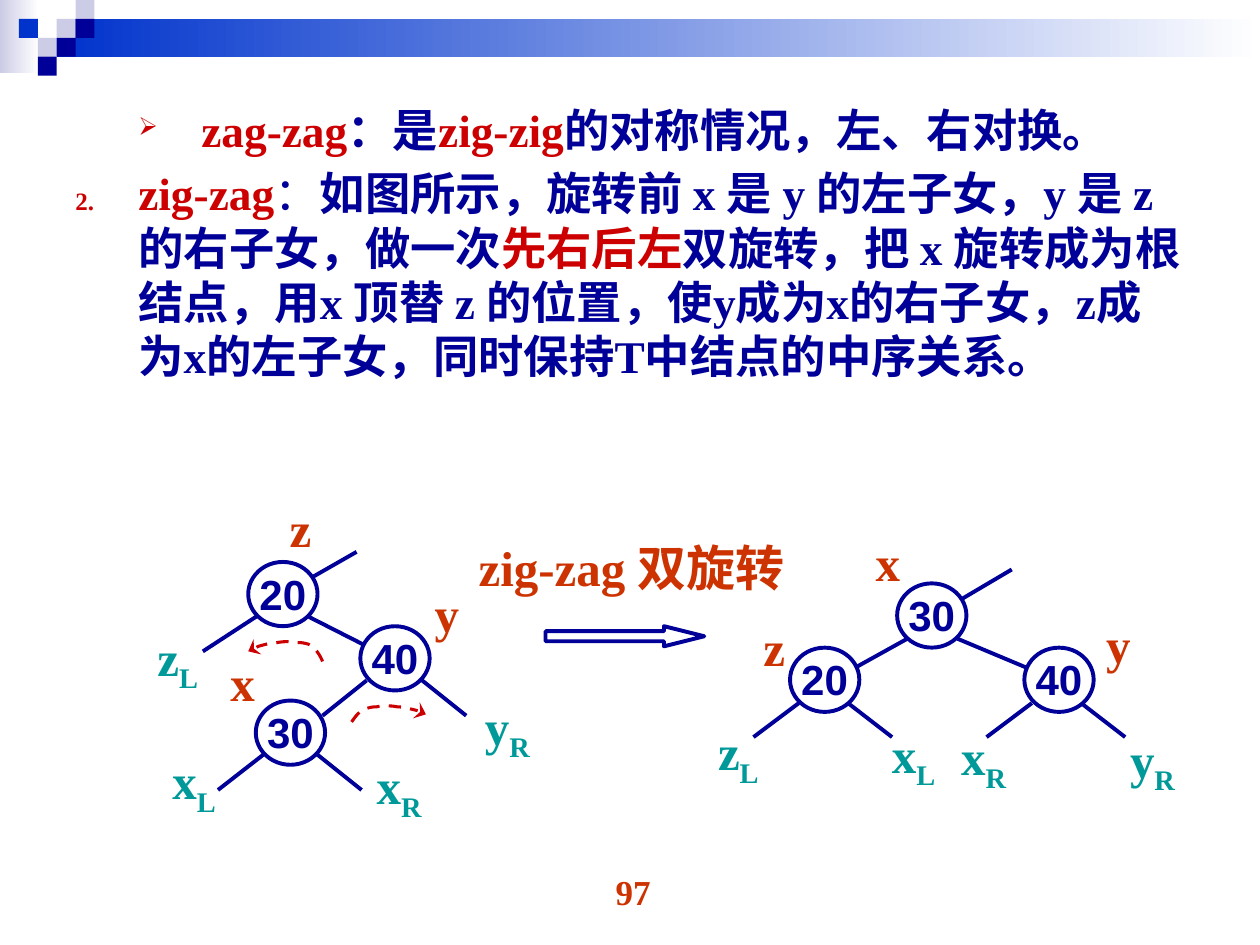
from lxml import etree
from pptx import Presentation, util as u
from pptx.dml.color import RGBColor
from pptx.enum import dml, shapes, text
from pptx.oxml.ns import qn

COLORS = {
    "navy": "000099", "blue": "0033CC", "lilac": "CCCCE6", "white": "FFFFFF",
    "red": "CC0000", "orange": "CC3300", "teal": "009999",
}
SERIF, SANS = "Times New Roman", "Arial"
SQUARE = 0.15
NODE_WIDTH, NODE_HEIGHT = 0.55, 0.51


def rgb(name):
    return RGBColor.from_string(COLORS[name])


def inches(*values):
    return [u.Inches(value) for value in values]


def bezier(points, steps=8):
    """Sample a chain of cubic curves given as start, then triples of points."""
    samples = []
    for first in range(0, len(points) - 1, 3):
        a, b, c, d = points[first:first + 4]
        for step in range(1, steps + 1):
            t = step / steps
            weights = ((1 - t) ** 3, 3 * t * (1 - t) ** 2, 3 * t * t * (1 - t), t ** 3)
            samples.append(tuple(
                sum(w * p[axis] for w, p in zip(weights, (a, b, c, d))) for axis in (0, 1)))
    return samples


class Painter:
    """Holds the drawing style and the slide being drawn on."""

    def __init__(self, slide):
        self.slide = slide
        self.line_width = u.Pt(2.25)

    def style_font(self, font, size, color, name=SERIF):
        font.size, font.name, font.bold = u.Pt(size), name, True
        font.color.rgb = rgb(color)

    def shape(self, kind, left, top, width, height, fill, outline=None):
        shape = self.slide.shapes.add_shape(kind, *inches(left, top, width, height))
        shape.shadow.inherit = False
        shape.fill.solid()
        shape.fill.fore_color.rgb = rgb(fill)
        if outline:
            shape.line.color.rgb = rgb(outline)
            shape.line.width = self.line_width
        else:
            shape.line.fill.background()
        return shape

    def fading_bar(self, left, top, width, height, color):
        bar = self.shape(shapes.MSO_SHAPE.RECTANGLE, left, top, width, height, color)
        bar.fill.gradient()
        bar.fill.gradient_angle = 0
        for stop, position, name in zip(bar.fill.gradient_stops, (0, 1), (color, "white")):
            stop.position = position
            stop.color.rgb = rgb(name)

    def text_box(self, left, top, width, height, wrap=False):
        box = self.slide.shapes.add_textbox(*inches(left, top, width, height))
        box.text_frame.word_wrap = wrap
        return box.text_frame

    def label(self, words, left, top, width, height=0.57, size=28, color="orange",
              name=SERIF, subscript="", centered=False):
        frame = self.text_box(left, top, width, height)
        paragraph = frame.paragraphs[0]
        self.style_font(paragraph.font, size, color, name)
        if centered:
            paragraph.alignment = text.PP_ALIGN.CENTER
        else:
            frame.margin_right = 0
        paragraph.add_run().text = words
        if subscript:
            run = paragraph.add_run()
            run.text = subscript
            run._r.get_or_add_rPr().set("baseline", "-25000")

    def subtree(self, words, left, top):
        self.label(words[0], left, top, 0.55, 0.63, color="teal", subscript=words[1])

    def node(self, number, left, top):
        self.shape(shapes.MSO_SHAPE.OVAL, left, top, NODE_WIDTH, NODE_HEIGHT, "white", "navy")
        self.label(number, left - 0.01, top, 0.57, 0.5, 24, "navy", SANS, centered=True)

    def edge(self, *ends):
        line = self.slide.shapes.add_connector(shapes.MSO_CONNECTOR.STRAIGHT, *inches(*ends))
        line.line.color.rgb = rgb("navy")
        line.line.width = self.line_width
        etree.SubElement(line._element.spPr, qn("a:effectLst"))

    def tree(self, edges, nodes, names, subtrees):
        for ends in edges:
            self.edge(*ends)
        for node in nodes:
            self.node(*node)
        for name, left, top in names:
            self.label(name, left, top, 0.38)
        for subtree in subtrees:
            self.subtree(*subtree)

    def curved_arrow(self, points):
        builder = self.slide.shapes.build_freeform(*inches(*points[0]), scale=1.0)
        builder.add_line_segments([inches(*point) for point in bezier(points)], close=False)
        curve = builder.convert_to_shape()
        curve.shadow.inherit = False
        curve.fill.background()
        curve.line.color.rgb = rgb("red")
        curve.line.width = u.Pt(1.75)
        curve.line.dash_style = dml.MSO_LINE.DASH
        etree.SubElement(curve.line._get_or_add_ln(), qn("a:tailEnd"),
                         type="stealth", w="lg", len="med")

    def list_item(self, paragraph, runs, margin, bullet, **bullet_attributes):
        """Fill a bulleted paragraph from (words, color) runs."""
        paragraph.line_spacing = 1.0
        paragraph.space_before = u.Pt(5.2)
        properties = paragraph._p.get_or_add_pPr()
        properties.set("marL", str(u.Inches(margin)))
        properties.set("indent", str(u.Inches(-0.5)))
        color = etree.SubElement(properties, qn("a:buClr"))
        etree.SubElement(color, qn("a:srgbClr"), val=COLORS["red"])
        etree.SubElement(properties, qn("a:buSzPct"), val="55000")
        etree.SubElement(properties, qn(bullet), **bullet_attributes)
        for words, name in runs:
            run = paragraph.add_run()
            run.text = words
            self.style_font(run.font, 25.9, name)
            if words == "：":
                run.font.name, run.font.bold = SANS, False


def draw_header(painter):
    painter.fading_bar(0, 0, 0.31, 0.58, "lilac")
    painter.fading_bar(0.45, 0.15, 9.55, 0.3, "blue")
    for column, row, color in (
            (3, 1, "lilac"), (4, 0, "lilac"), (4, 1, "navy"), (2, 2, "lilac"),
            (1, 1, "blue"), (3, 2, "navy"), (2, 3, "navy")):
        painter.shape(shapes.MSO_SHAPE.RECTANGLE, column * SQUARE, row * SQUARE,
                      SQUARE, SQUARE, color)


def draw_body(painter):
    frame = painter.text_box(0.5, 0.76, 9, 3.27, wrap=True)
    painter.list_item(frame.paragraphs[0], [
        ("zag-zag", "red"), ("：是", "navy"), ("zig-zig", "red"),
        ("的对称情况，左、右对换。", "navy"),
    ], 1, "a:buChar", char="➢")
    painter.list_item(frame.add_paragraph(), [
        ("zig-zag", "red"), ("：", "navy"),
        ("如图所示，旋转前 x 是 y 的左子女，y 是 z 的右子女，做一次", "navy"),
        ("先右后左", "red"),
        ("双旋转，把 x 旋转成为根结点，用x 顶替 z 的位置，使y成为x的右子女，"
         "z成为x的左子女，同时保持T中结点的中序关系。", "navy"),
    ], 0.5, "a:buAutoNum", type="arabicPeriod", startAt="2")


def draw_rotation(painter):
    painter.curved_arrow([
        (2.56, 5.25), (2.54, 5.2), (2.51, 5.16), (2.48, 5.13), (2.45, 5.11), (2.41, 5.1),
        (2.36, 5.1), (2.32, 5.09), (2.26, 5.09), (2.2, 5.1), (2.15, 5.1), (2.09, 5.12),
        (2.05, 5.13), (2.01, 5.15), (1.98, 5.17), (1.97, 5.17)])
    painter.curved_arrow([
        (2.79, 5.73), (2.82, 5.69), (2.84, 5.66), (2.87, 5.64), (2.91, 5.62), (2.95, 5.61),
        (2.99, 5.61), (3.04, 5.6), (3.1, 5.6), (3.15, 5.61), (3.2, 5.61), (3.27, 5.63),
        (3.31, 5.64), (3.35, 5.65), (3.38, 5.66), (3.38, 5.67)])
    painter.tree(
        edges=[(2.44, 4.89, 3.07, 5.21), (2.04, 4.89, 1.61, 5.17), (2.91, 5.4, 2.56, 5.68),
               (2.09, 5.99, 1.73, 6.27), (2.52, 5.99, 2.87, 6.27), (2.83, 4.38, 2.48, 4.58),
               (3.35, 5.4, 3.7, 5.68)],
        nodes=[("20", 1.97, 4.46), ("30", 2.03, 5.56), ("40", 2.86, 4.97)],
        names=[("z", 2.2, 3.91), ("y", 3.35, 4.58), ("x", 1.73, 5.13)],
        subtrees=[("zL", 1.15, 4.93), ("xL", 1.27, 5.91), ("yR", 3.75, 5.48),
                  ("xR", 2.89, 5.95)])
    painter.tree(
        edges=[(7.2, 5.07, 6.57, 5.42), (7.6, 5.07, 8.15, 5.3), (8.58, 5.58, 8.93, 5.85),
               (6.73, 5.58, 7.08, 5.85), (6.34, 5.58, 5.98, 5.85), (8.03, 4.52, 7.64, 4.75),
               (8.19, 5.58, 7.83, 5.85)],
        nodes=[("40", 8.13, 5.14), ("30", 7.12, 4.63), ("20", 6.27, 5.14)],
        names=[("x", 6.85, 4.18), ("y", 8.68, 4.83), ("z", 5.96, 4.85)],
        subtrees=[("yR", 8.87, 5.74), ("xR", 7.53, 5.72), ("xL", 6.98, 5.7),
                  ("zL", 5.6, 5.68)])
    arrow = painter.shape(shapes.MSO_SHAPE.RIGHT_ARROW, 4.33, 4.97, 1.26, 0.16,
                          "white", "navy")
    arrow.adjustments[1] = 2
    painter.label("zig-zag 双旋转", 3.7, 4.22, 2.72)


def main():
    presentation = Presentation()
    presentation.slide_width, presentation.slide_height = inches(10, 7.5)
    painter = Painter(presentation.slides.add_slide(presentation.slide_layouts[6]))
    draw_header(painter)
    painter.label("97", 3.86, 6.86, 2.33, 0.52, size=20, centered=True)
    draw_body(painter)
    draw_rotation(painter)
    presentation.save("out.pptx")


if __name__ == "__main__":
    main()
